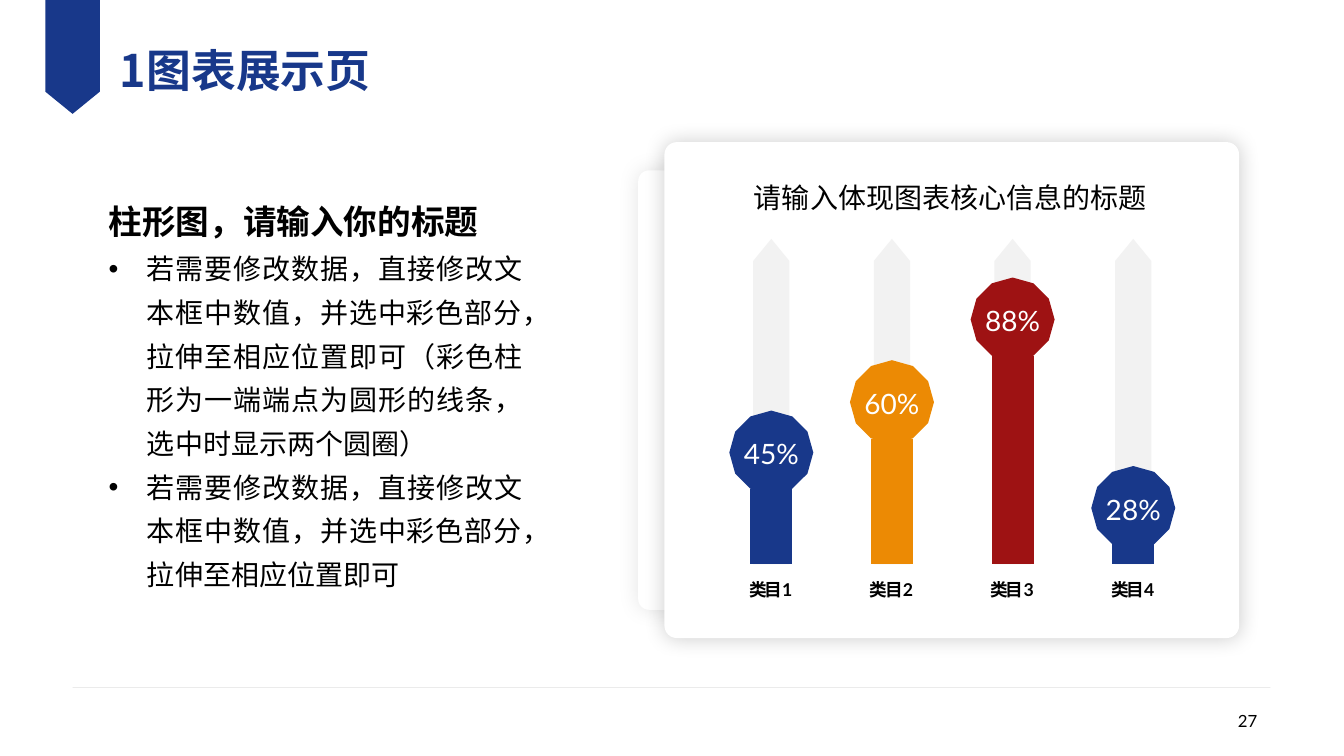
"""Build a slide with bullet text beside a card of four percentage columns."""
from dataclasses import dataclass

from lxml.etree import SubElement
from pptx import Presentation
from pptx.dml.color import RGBColor
from pptx.enum.shapes import MSO_CONNECTOR, MSO_SHAPE
from pptx.enum.text import MSO_ANCHOR, PP_ALIGN
from pptx.oxml.ns import qn
from pptx.util import Inches, Pt

BLUE = RGBColor(0x18, 0x38, 0x8A)
ORANGE = RGBColor(0xEC, 0x8A, 0x04)
RED = RGBColor(0x9E, 0x12, 0x13)
BLACK = RGBColor(0, 0, 0)
WHITE = RGBColor(0xFF, 0xFF, 0xFF)
TRACK_GREY = RGBColor(0xF2, 0xF2, 0xF2)
RULE_GREY = RGBColor(0xBF, 0xBF, 0xBF)
LATIN_FONT = "Lato"
CHINESE_FONT = "Noto Sans CJK SC"

FIRST_CENTER, LAST_CENTER = 7.65, 11.24
TRACK_TOP, TRACK_SHOULDER, BASE = 2.37, 2.59, 5.6
TRACK_WIDTH = 0.36


@dataclass(frozen=True)
class Column:
    category: str
    value: str
    knob: float
    color: RGBColor


@dataclass(frozen=True)
class Card:
    left: float
    top: float
    width: float
    height: float
    shadow_percent: int


@dataclass(frozen=True)
class Style:
    size: float
    color: RGBColor = BLACK
    bold: bool = False
    font: str = LATIN_FONT
    align: PP_ALIGN = PP_ALIGN.LEFT
    line_spacing: float = 1.0
    tracking: int = 0


COLUMNS = [
    Column("类目1", "45%", 4.49, BLUE),
    Column("类目2", "60%", 3.99, ORANGE),
    Column("类目3", "88%", 3.17, RED),
    Column("类目4", "28%", 5.04, BLUE),
]
CARDS = [Card(6.33, 1.69, 5.76, 4.36, 11), Card(6.59, 1.41, 5.7, 4.92, 20)]
BULLETS = [
    "若需要修改数据，直接修改文本框中数值，并选中彩色部分，拉伸至相应位置即可"
    "（彩色柱形为一端端点为圆形的线条，选中时显示两个圆圈）",
    "若需要修改数据，直接修改文本框中数值，并选中彩色部分，拉伸至相应位置即可",
]
HEADING = Style(24, bold=True, line_spacing=1.3)
BODY = Style(20, align=PP_ALIGN.JUSTIFY, line_spacing=1.3)
CATEGORY = Style(12.6, bold=True, align=PP_ALIGN.CENTER, line_spacing=1.1, tracking=-150)
VALUE = Style(20, WHITE, align=PP_ALIGN.CENTER)


def style_paragraph(para, style: Style) -> None:
    para.alignment = style.align
    para.line_spacing = style.line_spacing
    for span in para.runs:
        span.font.size = Pt(style.size)
        span.font.bold = style.bold
        span.font.name = style.font
        span.font.color.rgb = style.color
        properties = span.font._element
        SubElement(properties, qn("a:ea")).set("typeface", CHINESE_FONT)
        if style.tracking:
            properties.set("spc", str(style.tracking))


def add_text(page, left: float, top: float, width: float, height: float,
             text: str, style: Style, wrap: bool = True):
    box = page.shapes.add_textbox(Inches(left), Inches(top), Inches(width), Inches(height))
    frame = box.text_frame
    frame.text = text
    frame.word_wrap = wrap
    frame.vertical_anchor = MSO_ANCHOR.MIDDLE
    style_paragraph(frame.paragraphs[0], style)
    return frame


def add_bullet(frame, text: str) -> None:
    para = frame.add_paragraph()
    para.text = text
    properties = para._p.get_or_add_pPr()
    properties.set("marL", str(Inches(0.38)))
    properties.set("indent", str(Inches(-0.38)))
    SubElement(properties, qn("a:buFont")).set("typeface", "Arial")
    SubElement(properties, qn("a:buChar")).set("char", "•")
    style_paragraph(para, BODY)


def add_outline(page, points: list[tuple[float, float]], color: RGBColor) -> None:
    corners = [(Inches(x), Inches(y)) for x, y in points]
    builder = page.shapes.build_freeform(*corners[0])
    builder.add_line_segments(corners[1:], close=True)
    shape = builder.convert_to_shape()
    shape.shadow.inherit = False
    shape.fill.solid()
    shape.fill.fore_color.rgb = color
    shape.line.fill.background()


def add_line(page, start: tuple[float, float], end: tuple[float, float],
             color: RGBColor, width: float):
    line = page.shapes.add_connector(
        MSO_CONNECTOR.STRAIGHT, *(Inches(value) for value in start + end))
    line.line.color.rgb = color
    line.line.width = Pt(width)
    SubElement(line._element.spPr, qn("a:effectLst"))
    return line


def add_card(page, card: Card) -> None:
    shape = page.shapes.add_shape(
        MSO_SHAPE.ROUNDED_RECTANGLE, Inches(card.left), Inches(card.top),
        Inches(card.width), Inches(card.height))
    shape.adjustments[0] = 0.025
    shape.fill.solid()
    shape.fill.fore_color.rgb = WHITE
    shape.line.fill.background()
    shape.shadow.inherit = False
    effects = shape._element.spPr.find(qn("a:effectLst"))
    shadow = SubElement(effects, qn("a:outerShdw"), blurRad=str(Pt(15)),
                        dist="0", dir="0", algn="ctr", rotWithShape="0")
    shade = SubElement(shadow, qn("a:srgbClr"), val=str(BLACK))
    SubElement(shade, qn("a:alpha"), val=str(card.shadow_percent * 1000))


def add_column(page, column: Column, center: float) -> None:
    left, right = center - TRACK_WIDTH / 2, center + TRACK_WIDTH / 2
    add_outline(page, [(left, TRACK_SHOULDER), (center, TRACK_TOP),
                       (right, TRACK_SHOULDER), (right, BASE), (left, BASE)], TRACK_GREY)
    bar = add_line(page, (center, column.knob), (center, BASE), column.color, 30)
    SubElement(bar.line._get_or_add_ln(), qn("a:headEnd"), type="oval", w="sm", len="sm")
    add_text(page, center - 0.47, 5.67, 0.93, 0.33, column.category, CATEGORY)
    add_text(page, center - 0.39, column.knob - 0.21, 0.78, 0.44,
             column.value, VALUE, wrap=False)


def main() -> None:
    deck = Presentation()
    deck.slide_width, deck.slide_height = Inches(13.33), Inches(7.5)
    page = deck.slides.add_slide(deck.slide_layouts[6])

    rule = add_line(page, (0.72, 6.82), (12.6, 6.82), RULE_GREY, 0.25)
    rule_color = rule.line._get_or_add_ln().find(".//" + qn("a:srgbClr"))
    SubElement(rule_color, qn("a:alpha"), val="47000")
    add_outline(page, [(0.45, 0), (0.99, 0), (0.99, 0.91), (0.72, 1.13), (0.45, 0.91)], BLUE)
    title = add_text(page, 1.19, 0.26, 8.93, 0.86, "1图表展示页",
                     Style(32, BLUE, bold=True, font=CHINESE_FONT))
    title.margin_left = title.margin_right = title.margin_top = title.margin_bottom = 0
    add_text(page, 9.57, 6.95, 3, 0.4, "27", Style(12, align=PP_ALIGN.RIGHT))

    body = add_text(page, 0.98, 1.41, 4.3, 4.92, "柱形图，请输入你的标题", HEADING)
    for bullet in BULLETS:
        add_bullet(body, bullet)

    for card in CARDS:
        add_card(page, card)
    step = (LAST_CENTER - FIRST_CENTER) / (len(COLUMNS) - 1)
    for index, column in enumerate(COLUMNS):
        add_column(page, column, FIRST_CENTER + index * step)
    add_text(page, 7.38, 1.74, 4.13, 0.44, "请输入体现图表核心信息的标题", Style(20), wrap=False)

    deck.save("out.pptx")


if __name__ == "__main__":
    main()
